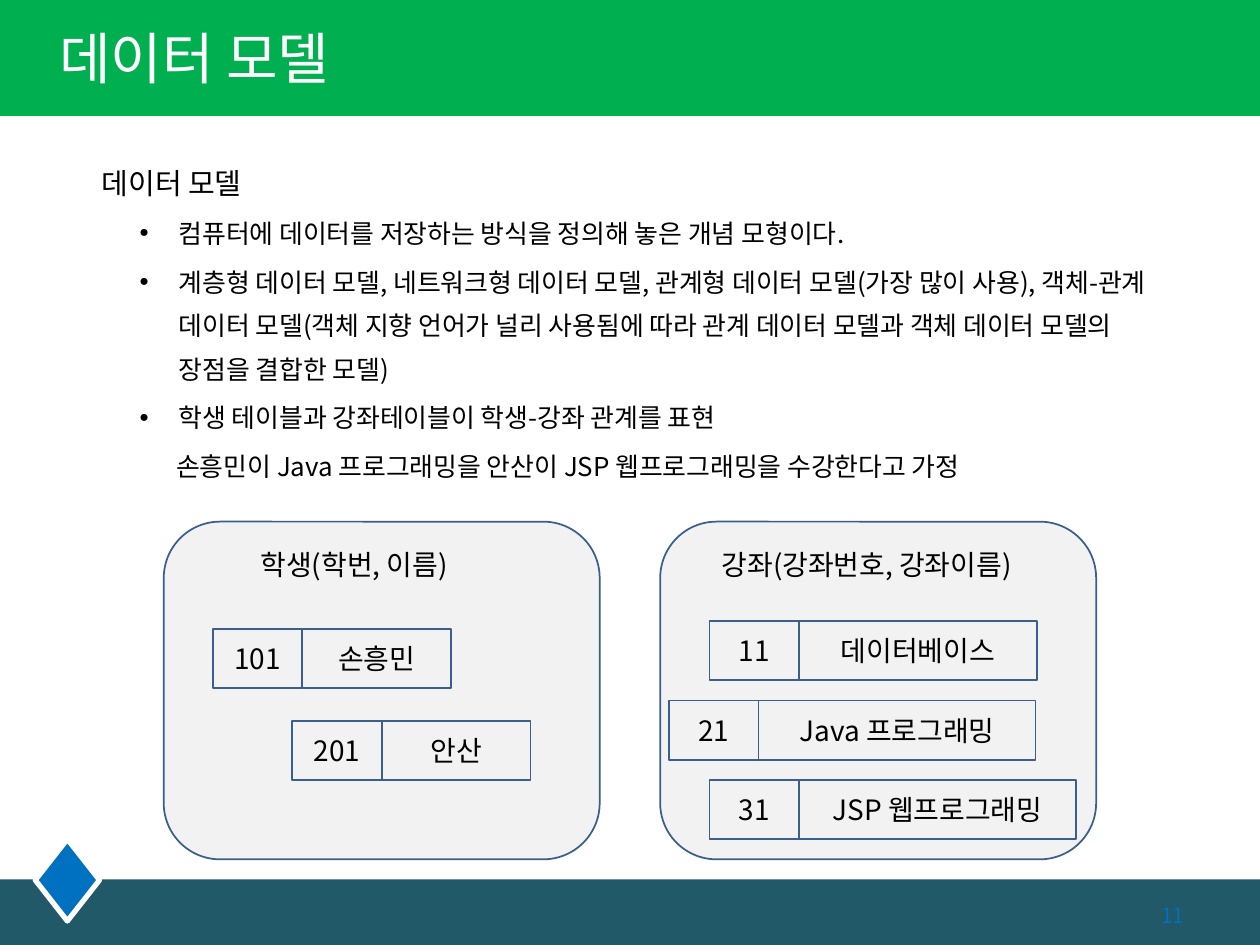
from lxml import etree
from pptx import Presentation
from pptx import util as u
from pptx.dml import color
from pptx.enum import shapes, text
from pptx.oxml import ns

FONT = "Noto Sans CJK KR"
EDGE = "3A5F8C"
KIND = shapes.MSO_SHAPE
ALIGN = text.PP_ALIGN
MID = text.MSO_ANCHOR.MIDDLE


def rgb(code):
    """Turn a hex string into a colour."""
    return color.RGBColor.from_string(code)


def add_shape(slide, kind, x, y, w, h, fill=None, line=None, weight=1):
    """Add a preset shape with flat fill and line."""
    shape = slide.shapes.add_shape(
        kind, u.Inches(x), u.Inches(y), u.Inches(w), u.Inches(h))
    shape.shadow.inherit = False
    if fill:
        shape.fill.solid()
        shape.fill.fore_color.rgb = rgb(fill)
    else:
        shape.fill.background()
    if line:
        shape.line.color.rgb = rgb(line)
        shape.line.width = u.Pt(weight)
    else:
        shape.line.fill.background()
    return shape


def add_box(slide, x, y, w, h):
    """Add a wrapping text box and return its frame."""
    box = slide.shapes.add_textbox(
        u.Inches(x), u.Inches(y), u.Inches(w), u.Inches(h))
    box.text_frame.word_wrap = True
    return box.text_frame


def write(para, words, size=16, ink="000000", align=ALIGN.LEFT,
          space=None, before=0, left=0, bullet=None):
    """Write one formatted paragraph, with an optional bullet."""
    run = para.add_run()
    run.text = words
    run.font.size = u.Pt(size)
    run.font.name = FONT
    run.font.color.rgb = rgb(ink)
    asian = etree.SubElement(run.font._element, ns.qn("a:ea"))
    asian.set("typeface", FONT)
    para.alignment = align
    para.space_before = u.Pt(before)
    if space:
        para.line_spacing = space
    props = para._p.get_or_add_pPr()
    props.set("marL", str(u.Inches(left)))
    props.set("indent", str(u.Inches(-0.31 if bullet else 0)))
    if bullet:
        face = etree.SubElement(props, ns.qn("a:buFont"))
        face.set("typeface", "Arial")
        mark = etree.SubElement(props, ns.qn("a:buChar"))
        mark.set("char", bullet)


def add_header(slide, x, y, w, h, words):
    """Draw the title band and set the title on it."""
    band = add_shape(slide, KIND.RECTANGLE, x, y, w, h, fill="00B050")
    title = slide.shapes.title
    band._element.addnext(title._element)
    title.left, title.top = u.Inches(x), u.Inches(y - 0.02)
    title.width, title.height = u.Inches(6.26), u.Inches(h + 0.02)
    frame = title.text_frame
    frame.vertical_anchor = MID
    frame.margin_left = u.Inches(0.47)
    write(frame.paragraphs[0], words, size=32, ink="FFFFFF")


def add_footer(slide, x, y, w, h, number):
    """Draw the bottom band with its emblem and page number."""
    add_shape(slide, KIND.RECTANGLE, x, y, w, h, fill="215968")
    add_shape(slide, KIND.DIAMOND, x + 0.28, y - 0.32, 0.51, 0.65,
              fill="0070C0", line="FFFFFF", weight=3)
    frame = add_box(slide, x + w - 1.5, y + 0.08, 1, 0.4)
    frame.vertical_anchor = MID
    write(frame.paragraphs[0], number, size=12, ink="0070C0",
          align=ALIGN.RIGHT)


def add_body(slide, x, y, w, h, head, points, note):
    """Write the heading, its bullet points and the closing note."""
    frame = add_box(slide, x, y, w, h)
    write(frame.paragraphs[0], head, size=16.6, space=1.4, before=3, left=0.2)
    style = dict(size=14.8, space=1.4, before=3)
    for point in points:
        write(frame.add_paragraph(), point, left=0.81, bullet="•", **style)
    write(frame.add_paragraph(), note, left=0.79, **style)


def add_panel(slide, x, y, w, h, label, rows):
    """Draw a rounded panel with a label and rows of key and value."""
    add_shape(slide, KIND.ROUNDED_RECTANGLE, x, y, w, h,
              fill="F2F2F2", line=EDGE)
    words, shift, width = label
    frame = add_box(slide, x + shift, y + 0.16, width, 0.37)
    write(frame.paragraphs[0], words)
    key = 0.71
    for dx, dy, span, code, name in rows:
        for left, wide, words in ((dx, key, code), (dx + key, span, name)):
            cell = add_shape(slide, KIND.RECTANGLE, x + left, y + dy,
                             wide, 0.47, line=EDGE)
            cell.text_frame.vertical_anchor = MID
            cell.text_frame.word_wrap = True
            write(cell.text_frame.paragraphs[0], words, align=ALIGN.CENTER)


def main():
    """Build the slide and save it."""
    deck = Presentation()
    deck.slide_width, deck.slide_height = u.Inches(10), u.Inches(7.5)
    slide = deck.slides.add_slide(deck.slide_layouts[5])
    add_footer(slide, 0, 6.98, 10, 0.52, "11")
    add_header(slide, 0, 0, 10, 0.92, "데이터 모델")
    add_body(slide, 0.51, 1.15, 9, 2.83, "데이터 모델", [
        "컴퓨터에 데이터를 저장하는 방식을 정의해 놓은 개념 모형이다.",
        "계층형 데이터 모델, 네트워크형 데이터 모델, 관계형 데이터 모델"
        "(가장 많이 사용), 객체-관계 데이터 모델(객체 지향 언어가 널리 "
        "사용됨에 따라 관계 데이터 모델과 객체 데이터 모델의 장점을 "
        "결합한 모델)",
        "학생 테이블과 강좌테이블이 학생-강좌 관계를 표현",
    ], "손흥민이 Java 프로그래밍을 안산이 JSP 웹프로그래밍을 수강한다고 가정")
    add_panel(slide, 1.3, 4.14, 3.46, 2.68, ("학생(학번, 이름)", 0.67, 2.13), [
        (0.39, 0.85, 1.18, "101", "손흥민"),
        (1.02, 1.58, 1.18, "201", "안산"),
    ])
    add_panel(slide, 5.24, 4.14, 3.46, 2.68,
              ("강좌(강좌번호, 강좌이름)", 0.39, 2.6), [
        (0.39, 0.79, 1.89, "11", "데이터베이스"),
        (0.07, 1.42, 2.2, "21", "Java 프로그래밍"),
        (0.39, 2.05, 2.2, "31", "JSP 웹프로그래밍"),
    ])
    deck.save("out.pptx")


if __name__ == "__main__":
    main()
